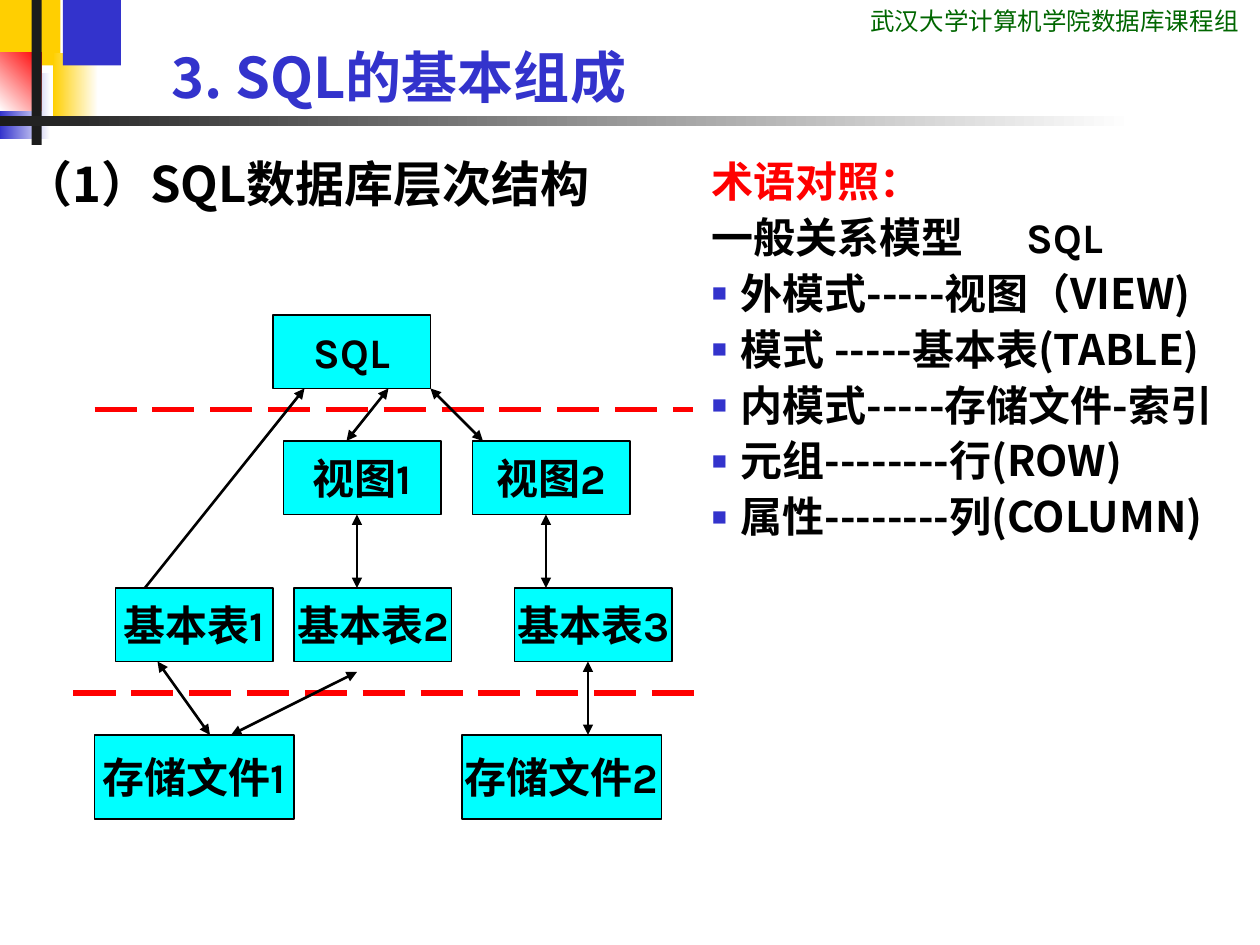
from lxml import etree
from pptx import Presentation
from pptx.dml.color import RGBColor
from pptx.enum.dml import MSO_LINE
from pptx.enum.shapes import MSO_CONNECTOR, MSO_SHAPE
from pptx.enum.text import MSO_ANCHOR, MSO_AUTO_SIZE, PP_ALIGN
from pptx.oxml.ns import qn
from pptx.util import Inches, Pt

RECT, STRAIGHT, LONG_DASH = MSO_SHAPE.RECTANGLE, MSO_CONNECTOR.STRAIGHT, MSO_LINE.LONG_DASH
TOP, MIDDLE, BOTTOM = MSO_ANCHOR.TOP, MSO_ANCHOR.MIDDLE, MSO_ANCHOR.BOTTOM
LEFT, CENTER, NO_FIT = PP_ALIGN.LEFT, PP_ALIGN.CENTER, MSO_AUTO_SIZE.NONE
COLORS = {"blue": "3333CC", "yellow": "FFCF01", "red": "FF0000", "dark": "1C1C1C",
          "white": "FFFFFF", "black": "000000", "cyan": "00FFFF", "green": "006600"}
CJK = "Noto Sans CJK SC"

BLOCKS = [(0, 0, 48, 52, "yellow", None), (42, 42, 36, 52, "yellow", 180),
          (50, 0, 46, 52, "blue", None), (0, 58, 40, 52, "blue", 180),
          (0, 42, 33, 46, "red", 45), (25, 0, 8, 115, "dark", None),
          (0, 92, 900, 8, "dark", 180)]
NODES = [("SQL", 20, 0, 15, 7), ("视图1", 21, 12, 15, 7), ("视图2", 39, 12, 15, 7),
         ("基本表1", 5, 26, 15, 7), ("基本表2", 22, 26, 15, 7), ("基本表3", 43, 26, 15, 7),
         ("存储文件1", 3, 40, 19, 8), ("存储文件2", 38, 40, 19, 8)]
LEVEL_RULES = [(3, 9, 60, 9), (1, 36, 61, 36)]
LINKS = [(35, 7, 40, 12), (31, 7, 27, 12), (23, 7, 7, 27), (28, 19, 28, 26),
         (46, 19, 46, 26), (9, 33, 14, 40), (50, 33, 50, 40), (28, 34, 16, 40)]
TERMS = ["外模式-----视图（VIEW)", "模式 -----基本表(TABLE)", "内模式-----存储文件-索引",
         "元组--------行(ROW)", "属性--------列(COLUMN)"]


def color(name):
    """Return the RGB value of a named colour."""
    return RGBColor.from_string(COLORS[name])


def assign(target, values):
    """Set each attribute of the target from a dict."""
    for key, value in values.items():
        setattr(target, key, value)


def on_grid(box, grid, points):
    """Convert column and row pairs of a grid in a box to slide lengths."""
    left, top, width, height = box
    columns, rows = grid
    return [Inches(left + width * c / columns if i % 2 == 0 else top + height * c / rows)
            for i, c in enumerate(points)]


def move(shape, box):
    """Put a shape into a box given in inches."""
    assign(shape, dict(zip(("left", "top", "width", "height"), map(Inches, box))))


def write(paragraph, text, tone, size, face, bold=True):
    """Add a formatted run to a paragraph."""
    run = paragraph.add_run()
    run.text = text
    assign(run.font, {"size": Pt(size), "name": face, "bold": bold})
    run.font.color.rgb = color(tone)
    etree.SubElement(run.font._element, qn("a:ea"), typeface=CJK)


def indent(paragraph, hanging=0, bullet=None, tab=None):
    """Set the hanging indent, bullet and tab stop of a paragraph."""
    props = paragraph._p.get_or_add_pPr()
    props.set("marL", str(Inches(hanging)))
    props.set("indent", str(-Inches(hanging)))
    if bullet:
        tint = etree.SubElement(props, qn("a:buClr"))
        etree.SubElement(tint, qn("a:srgbClr"), val=COLORS["blue"])
        etree.SubElement(props, qn("a:buSzPct"), val="60000")
        etree.SubElement(props, qn("a:buChar"), char=bullet)
    else:
        etree.SubElement(props, qn("a:buNone"))
    if tab:
        stops = etree.SubElement(props, qn("a:tabLst"))
        etree.SubElement(stops, qn("a:tab"), pos=str(Inches(tab)), algn="l")


def add_block(slide, box, grid, cell, tone, angle=None):
    """Draw a plain or fading rectangle on a grid cell."""
    column, row, columns, rows = cell
    left, top, right, bottom = on_grid(box, grid, (column, row, column + columns, row + rows))
    block = slide.shapes.add_shape(RECT, left, top, right - left, bottom - top)
    block.shadow.inherit = False
    block.line.fill.background()
    if angle is None:
        block.fill.solid()
        block.fill.fore_color.rgb = color(tone)
    else:
        block.fill.gradient()
        block.fill.gradient_angle = angle
        for stop, shade in zip(block.fill.gradient_stops, ("white", tone)):
            stop.color.rgb = color(shade)
    return block


def add_line(slide, box, grid, ends, tone, weight):
    """Draw a straight line between two grid points."""
    line = slide.shapes.add_connector(STRAIGHT, *on_grid(box, grid, ends))
    line.line.color.rgb = color(tone)
    line.line.width = Pt(weight)
    etree.SubElement(line._element.spPr, qn("a:effectLst"))
    return line


def draw_header(slide, box):
    """Draw the corner blocks, the bar and the course group name."""
    for *cell, tone, angle in BLOCKS:
        add_block(slide, box, (1000, 115), cell, tone, angle)
    left, top, width, height = box
    credit = slide.shapes.add_textbox(0, 0, 0, 0)
    move(credit, (left + width * 0.681, top, width * 0.319, height * 0.3))
    credit.text_frame.word_wrap = True
    write(credit.text_frame.paragraphs[0], "武汉大学计算机学院数据库课程组", "green", 14,
          "Roboto Condensed", False)


def fill_title(title, box):
    """Write the slide title."""
    move(title, box)
    assign(title.text_frame, {"vertical_anchor": BOTTOM, "auto_size": NO_FIT})
    heading = title.text_frame.paragraphs[0]
    heading.alignment = LEFT
    write(heading, "3. SQL的基本组成", "blue", 32, CJK)


def fill_subject(body, box):
    """Write the subject above the diagram."""
    move(body, box)
    assign(body.text_frame, {"vertical_anchor": TOP, "auto_size": NO_FIT})
    subject = body.text_frame.paragraphs[0]
    indent(subject, 0.38)
    subject.space_before = Pt(0)
    write(subject, " （1）SQL", "black", 28, CJK)
    write(subject, "数据库层次结构", "black", 28, "Times New Roman")


def fill_terms(body, box):
    """Write the list that compares the terms."""
    move(body, box)
    frame = body.text_frame
    assign(frame, {"vertical_anchor": TOP, "auto_size": NO_FIT})
    rows = [("术语对照：", "red", "Karla", {}),
            ("一般关系模型\tSQL", "black", "Karla", {"tab": 2.7})]
    rows += [(term, "black", CJK, {"hanging": 0.23, "bullet": "■"}) for term in TERMS]
    for number, (text, tone, face, layout) in enumerate(rows):
        line = frame.add_paragraph() if number else frame.paragraphs[0]
        indent(line, **layout)
        assign(line, {"line_spacing": 0.9, "space_before": Pt(6 if number else 0)})
        write(line, text, tone, 24, face)


def draw_levels(slide, box):
    """Draw the levels of an SQL database with their links."""
    grid = (63, 48)
    for ends in LEVEL_RULES:
        add_line(slide, box, grid, ends, "red", 3).line.dash_style = LONG_DASH
    for ends in LINKS:
        outline = add_line(slide, box, grid, ends, "black", 1.5).line._get_or_add_ln()
        for end in ("a:headEnd", "a:tailEnd"):
            etree.SubElement(outline, qn(end), type="triangle")
    for label, *cell in NODES:
        node = add_block(slide, box, grid, cell, "cyan")
        node.line.color.rgb = color("black")
        node.line.width = Pt(0.75)
        assign(node.text_frame, {"word_wrap": False, "vertical_anchor": MIDDLE})
        caption = node.text_frame.paragraphs[0]
        caption.alignment = CENTER
        write(caption, label, "black", 24, "Karla")


def main():
    """Build and save the slide."""
    deck = Presentation()
    assign(deck, {"slide_width": Inches(10), "slide_height": Inches(7.5)})
    slide = deck.slides.add_slide(deck.slide_layouts[3])
    title, subject, terms = slide.placeholders
    draw_header(slide, (0, 0, 10, 1.15))
    fill_title(title, (1.26, 0, 6.82, 0.92))
    fill_subject(subject, (0, 1.17, 5.67, 0.69))
    draw_levels(slide, (0.5, 2.5, 5.25, 4))
    fill_terms(terms, (5.55, 1.23, 4.45, 3.73))
    deck.save("out.pptx")


if __name__ == "__main__":
    main()
